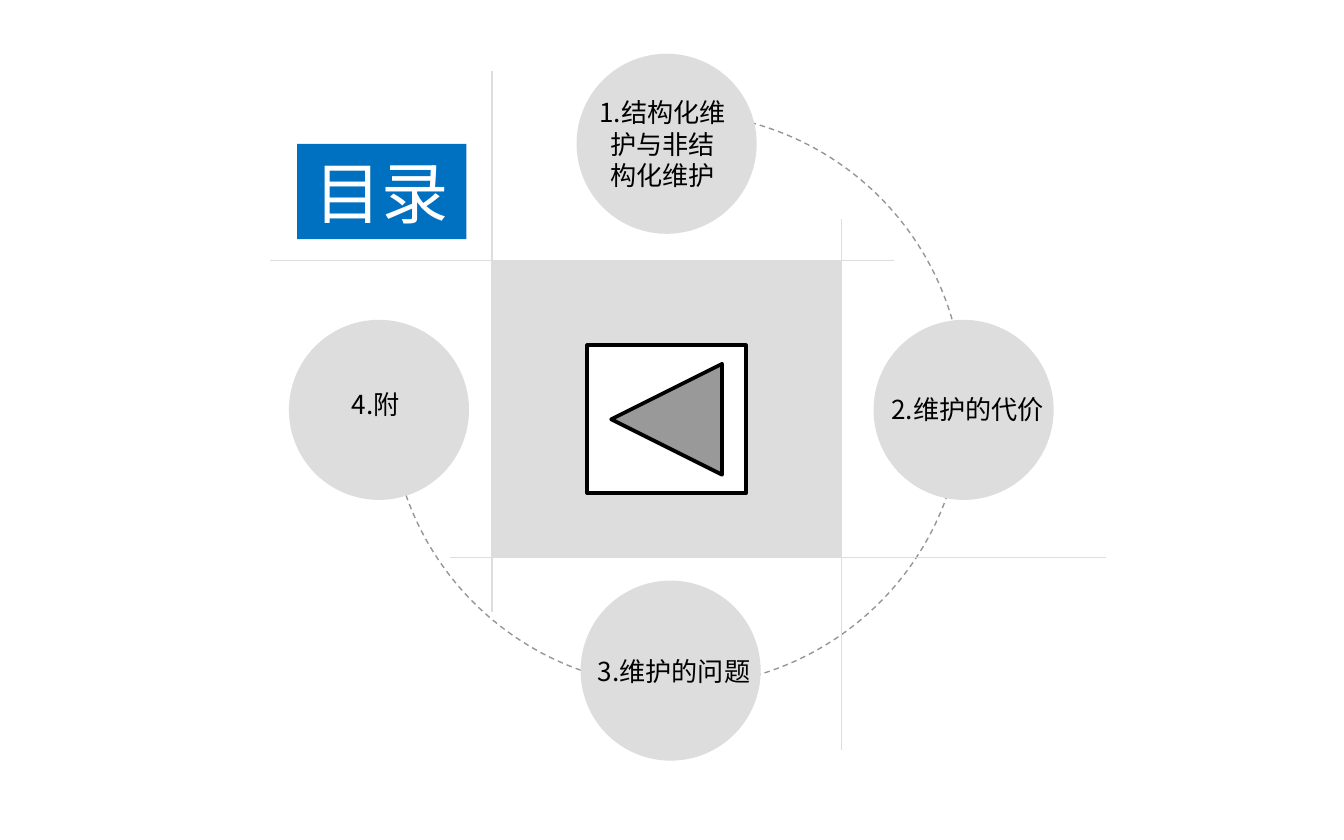
import lxml.etree
import pptx
import pptx.dml.color
import pptx.enum.dml
import pptx.enum.shapes
import pptx.enum.text
import pptx.oxml.ns
import pptx.util

SHAPES = pptx.enum.shapes.MSO_SHAPE
ANCHOR = pptx.enum.text.MSO_ANCHOR
PX = 9144  # 100 px to the inch
COLORS = {
    "grey": "DDDDDD",
    "orbit": "969696",
    "accent": "0070C0",
    "light": "FFFFFF",
    "dark": "000000",
}
CJK_FONT = "Noto Sans CJK SC"
CIRCLE = 134

# circle left, top; label offset from the circle, label width, height; wording
TOPICS = [
    ((429, 40), (7, 27, 114, 81), "1.结构化维护与非结构化维护"),
    ((650, 238), (1, 50, 138, 34), "2.维护的代价"),
    ((432, 432), (0, 51, 139, 34), "3.维护的问题"),
    ((215, 238), (-10, 46, 149, 34), "4.附"),
]


def emu(*lengths):
    return [pptx.util.Emu(length * PX) for length in lengths]


def color(name):
    return pptx.dml.color.RGBColor.from_string(COLORS[name])


def set_line(line, name, width):
    line.color.rgb = color(name)
    line.width = pptx.util.Pt(width)


def add_plain_shape(slide, kind, box, fill=None):
    """Add a preset shape with no shadow and no outline."""
    shape = slide.shapes.add_shape(kind, *emu(*box))
    shape.shadow.inherit = False
    shape.line.fill.background()
    if fill:
        shape.fill.solid()
        shape.fill.fore_color.rgb = color(fill)
    else:
        shape.fill.background()
    return shape


def write_centred(frame, text, size, font, text_color, anchor):
    frame.word_wrap = True
    frame.auto_size = pptx.enum.text.MSO_AUTO_SIZE.NONE
    frame.vertical_anchor = anchor
    paragraph = frame.paragraphs[0]
    paragraph.alignment = pptx.enum.text.PP_ALIGN.CENTER
    run = paragraph.add_run()
    run.text = text
    run.font.size = pptx.util.Pt(size)
    run.font.color.rgb = color(text_color)
    run.font.name = font
    east_asian = lxml.etree.SubElement(
        run.font._element, pptx.oxml.ns.qn("a:ea"))
    east_asian.set("typeface", CJK_FONT)


def add_title(slide, box):
    title = slide.shapes.title
    title.left, title.top, title.width, title.height = emu(*box)
    title.fill.solid()
    title.fill.fore_color.rgb = color("accent")
    write_centred(title.text_frame, "目录", 36, "Lato", "light", ANCHOR.MIDDLE)


def add_orbit(slide, box, start, end):
    """Add a dashed arc that runs clockwise between two angles in degrees."""
    arc = add_plain_shape(slide, SHAPES.ARC, box)
    for index, angle in enumerate((start, end)):
        arc.adjustments[index] = angle * 0.6  # 60000ths over 100000
    set_line(arc.line, "orbit", 0.75)
    arc.line.dash_style = pptx.enum.dml.MSO_LINE.DASH


def add_rule(slide, start, end):
    rule = slide.shapes.add_connector(
        pptx.enum.shapes.MSO_CONNECTOR.STRAIGHT, *emu(*start, *end))
    set_line(rule.line, "grey", 0.75)
    lxml.etree.SubElement(
        rule._element.spPr, pptx.oxml.ns.qn("a:effectLst"))


def add_centre_panel(slide, box):
    """Add the square with its edges extended and the back button inside."""
    left, top, width, height = box
    right, bottom = left + width, top + height
    add_plain_shape(slide, SHAPES.RECTANGLE, box, "grey")
    for x, above, below in ((left, 141, 40), (right, 31, 143)):
        add_rule(slide, (x, top - above), (x, bottom + below))
    for y, before, after in ((top, 165, 39), (bottom, 31, 197)):
        add_rule(slide, (left - before, y), (right + after, y))
    button = add_plain_shape(
        slide, SHAPES.ACTION_BUTTON_BACK_OR_PREVIOUS,
        (left + 71, top + 63, 118, 110), "light")
    set_line(button.line, "dark", 2)
    lxml.etree.SubElement(button.line._ln, pptx.oxml.ns.qn("a:round"))


def add_topic(slide, position, label, text):
    left, top = position
    offset_x, offset_y, width, height = label
    add_plain_shape(slide, SHAPES.OVAL, (left, top, CIRCLE, CIRCLE), "grey")
    text_box = slide.shapes.add_textbox(
        *emu(left + offset_x, top + offset_y, width, height))
    write_centred(text_box.text_frame, text, 14, CJK_FONT, "dark", ANCHOR.TOP)


def main():
    presentation = pptx.Presentation()
    presentation.slide_width, presentation.slide_height = emu(1000, 625)
    slide = presentation.slides.add_slide(presentation.slide_layouts[5])
    add_title(slide, (221, 107, 126, 71))
    add_orbit(slide, (290, 84, 427, 427), 283, 164.5)
    add_centre_panel(slide, (366, 194, 260, 221))
    for position, label, text in TOPICS:
        add_topic(slide, position, label, text)
    presentation.save("out.pptx")


if __name__ == "__main__":
    main()
